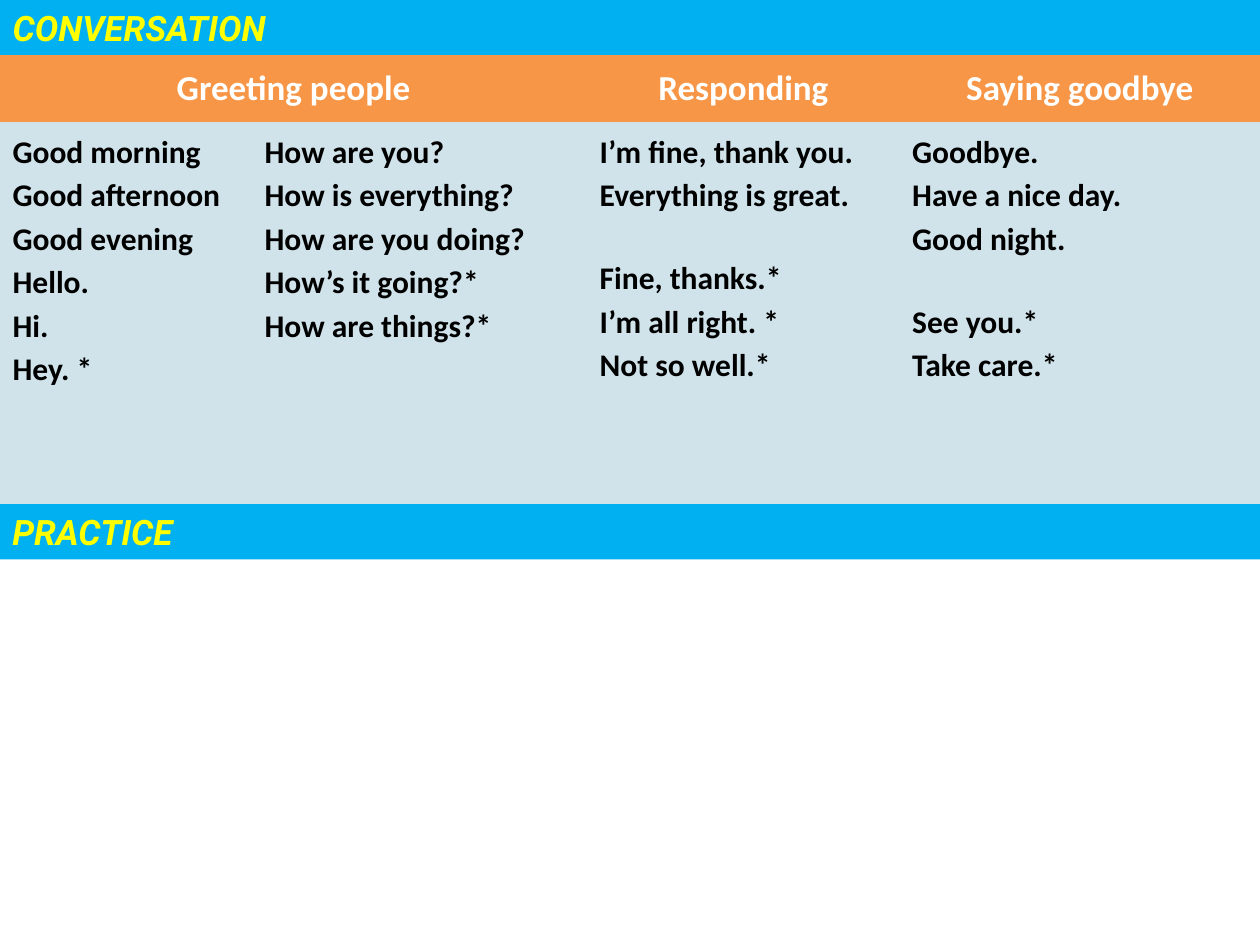
from lxml import etree
from pptx import Presentation
from pptx.dml.color import RGBColor
from pptx.enum.shapes import MSO_SHAPE
from pptx.enum.text import MSO_ANCHOR, MSO_AUTO_SIZE, PP_ALIGN
from pptx.oxml.ns import qn
from pptx.util import Inches, Pt

RECTANGLE = MSO_SHAPE.RECTANGLE
MIDDLE = MSO_ANCHOR.MIDDLE
NO_AUTOFIT = MSO_AUTO_SIZE.NONE
LEFT = PP_ALIGN.LEFT
CENTER = PP_ALIGN.CENTER

BLUE = RGBColor(0x00, 0xB0, 0xF0)
YELLOW = RGBColor(0xFF, 0xFF, 0x00)
ORANGE = RGBColor(0xF7, 0x96, 0x46)
PALE_BLUE = RGBColor(0xD0, 0xE3, 0xEA)
WHITE = RGBColor(0xFF, 0xFF, 0xFF)
BLACK = RGBColor(0x00, 0x00, 0x00)

SLIDE_WIDTH = 10
BAR_HEIGHT = 0.44
PRACTICE_TOP = 4
HEADER_HEIGHT = 0.53
COLUMN_WIDTHS = [4.66, 2.48, 2.86]
LINE_SPACING = 1.13
GROUP_GAP = Pt(22.5)
QUESTION_TAB = Inches(2)

HEADERS = ["Greeting people", "Responding", "Saying goodbye"]
PHRASE_GROUPS = [
    [[
        "Good morning \tHow are you?",
        "Good afternoon \tHow is everything?",
        "Good evening \tHow are you doing?",
        "Hello. \tHow’s it going?*",
        "Hi. \tHow are things?*",
        "Hey. *",
    ]],
    [
        ["I’m fine, thank you.", "Everything is great."],
        ["Fine, thanks.*", "I’m all right. *", "Not so well.*"],
    ],
    [
        ["Goodbye.", "Have a nice day.", "Good night."],
        ["See you.*", "Take care.*"],
    ],
]


def add_run(paragraph, text, font_name, size, color, italic=False):
    run = paragraph.add_run()
    run.text = text
    run.font.name = font_name
    run.font.size = Pt(size)
    run.font.bold = True
    run.font.italic = italic
    run.font.color.rgb = color


def add_tab_stop(paragraph, position):
    properties = paragraph._p.get_or_add_pPr()
    tab_list = etree.SubElement(properties, qn("a:tabLst"))
    etree.SubElement(tab_list, qn("a:tab"), pos=str(position), algn="l")


def format_bar(shape, top, text):
    shape.left, shape.top = Inches(0), Inches(top)
    shape.width, shape.height = Inches(SLIDE_WIDTH), Inches(BAR_HEIGHT)
    shape.fill.solid()
    shape.fill.fore_color.rgb = BLUE
    shape.line.fill.background()
    frame = shape.text_frame
    frame.word_wrap = True
    frame.auto_size = NO_AUTOFIT
    frame.vertical_anchor = MIDDLE
    paragraph = frame.paragraphs[0]
    paragraph.alignment = LEFT
    add_run(paragraph, text, "Roboto", 20, YELLOW, italic=True)


def fill_cell(cell, color):
    cell.fill.solid()
    cell.fill.fore_color.rgb = color


def write_header(cell, text):
    fill_cell(cell, ORANGE)
    paragraph = cell.text_frame.paragraphs[0]
    paragraph.alignment = CENTER
    paragraph.line_spacing = LINE_SPACING
    add_run(paragraph, text, "Calibri", 20, WHITE)


def write_phrases(cell, groups):
    fill_cell(cell, PALE_BLUE)
    frame = cell.text_frame
    for group_index, group in enumerate(groups):
        for phrase_index, phrase in enumerate(group):
            is_first = group_index == phrase_index == 0
            paragraph = frame.paragraphs[0] if is_first else frame.add_paragraph()
            if "\t" in phrase:
                add_tab_stop(paragraph, QUESTION_TAB)
            paragraph.line_spacing = LINE_SPACING
            if group_index > 0 and phrase_index == 0:
                paragraph.space_before = GROUP_GAP
            add_run(paragraph, phrase, "Calibri", 18, BLACK)


def add_phrase_table(slide):
    height = PRACTICE_TOP - BAR_HEIGHT
    table = slide.shapes.add_table(
        2, len(HEADERS), Inches(0), Inches(BAR_HEIGHT), Inches(SLIDE_WIDTH), Inches(height)
    ).table
    table.rows[0].height = Inches(HEADER_HEIGHT)
    table.rows[1].height = Inches(height - HEADER_HEIGHT)
    for index, width in enumerate(COLUMN_WIDTHS):
        table.columns[index].width = Inches(width)
        write_header(table.cell(0, index), HEADERS[index])
        write_phrases(table.cell(1, index), PHRASE_GROUPS[index])
    table.horz_banding = False
    table.first_row = False


def add_practice_bar(slide):
    shape = slide.shapes.add_shape(
        RECTANGLE, Inches(0), Inches(PRACTICE_TOP), Inches(SLIDE_WIDTH), Inches(BAR_HEIGHT)
    )
    shape.shadow.inherit = False
    format_bar(shape, PRACTICE_TOP, "PRACTICE")


def remove_cell_borders(slide):
    for cell_properties in slide.shapes._spTree.iter(qn("a:tcPr")):
        for position, side in enumerate(("a:lnL", "a:lnR", "a:lnT", "a:lnB")):
            border = etree.Element(qn(side), w="0")
            etree.SubElement(border, qn("a:noFill"))
            cell_properties.insert(position, border)


def main():
    presentation = Presentation()
    presentation.slide_width = Inches(SLIDE_WIDTH)
    presentation.slide_height = Inches(7.5)
    slide = presentation.slides.add_slide(presentation.slide_layouts[5])
    format_bar(slide.shapes.title, 0, "CONVERSATION")
    add_practice_bar(slide)
    add_phrase_table(slide)
    remove_cell_borders(slide)
    presentation.save("out.pptx")


if __name__ == "__main__":
    main()
